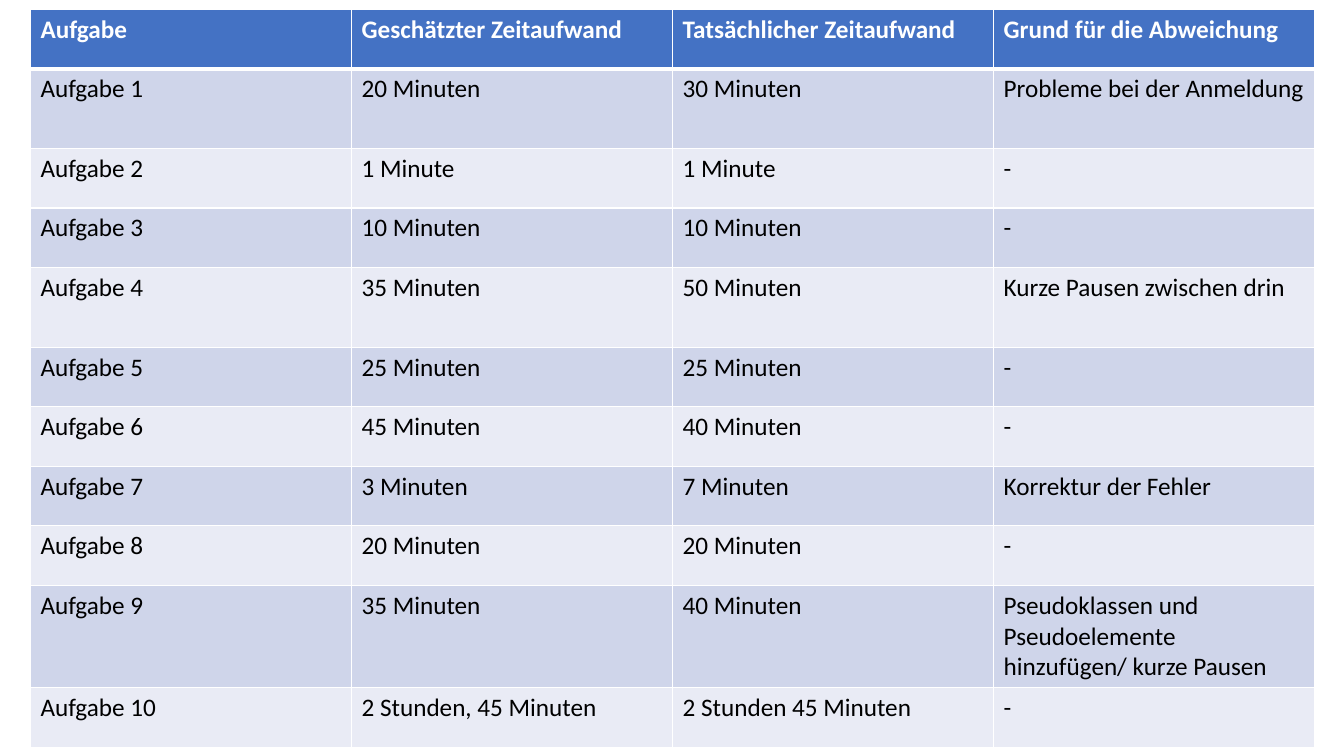
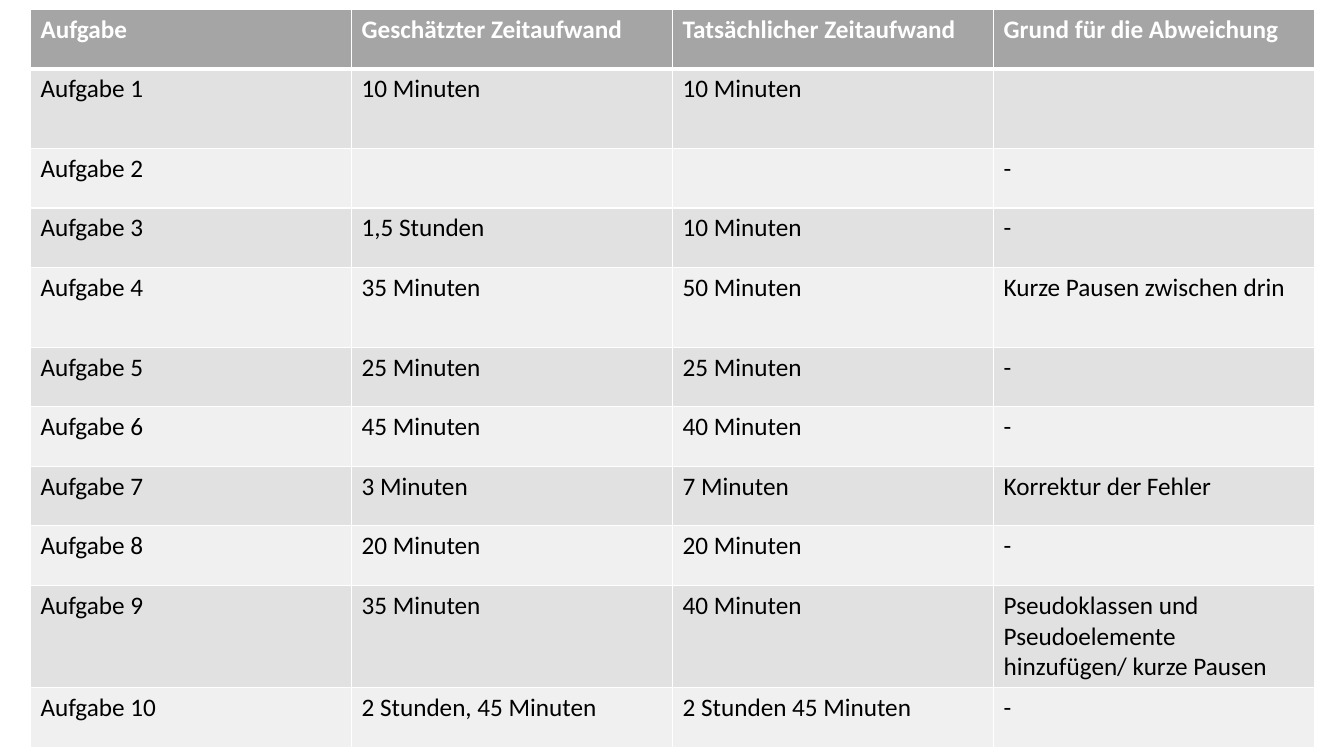
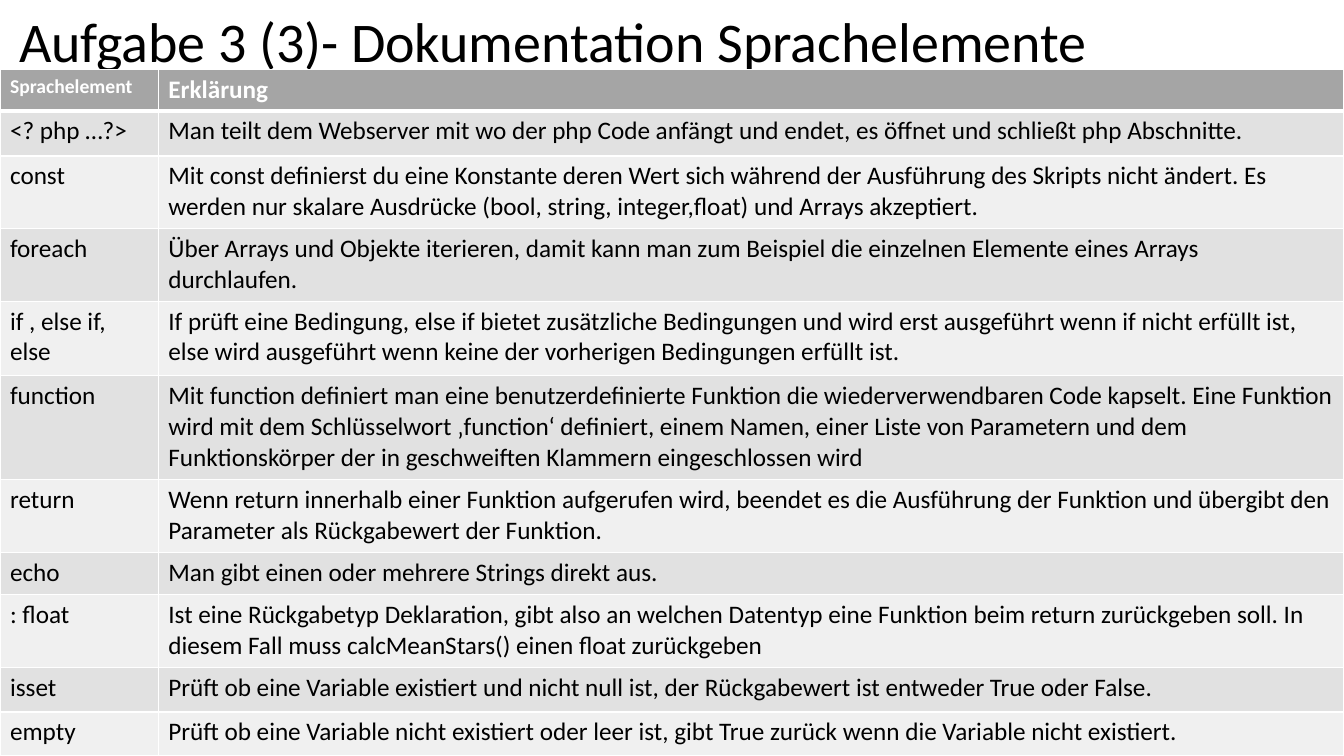
from lxml import etree
from pptx import Presentation
from pptx import util as u
from pptx.dml.color import RGBColor
from pptx.enum import text
from pptx.oxml.ns import qn

COLORS = {"white": "FFFFFF", "black": "000000"}
BLUE = {"header": "4472C4", "odd": "CFD5EA", "even": "E9EBF5"}
GRAY = {"header": "A5A5A5", "odd": "E1E1E1", "even": "F0F0F0"}
FONT = "Calibri"


def write(paragraph, words, size, color, bold=False):
    run = paragraph.add_run()
    run.text = words
    run.font.name = FONT
    run.font.size = u.Pt(size)
    run.font.bold = bold
    run.font.color.rgb = RGBColor.from_string(COLORS[color])


def add_banded_table(slide, left, top, widths, heights, rows, palette, header_sizes):
    """Lengths are in cm; the first row is the header, with one text size per column."""
    table = slide.shapes.add_table(
        len(rows), len(widths), u.Cm(left), u.Cm(top),
        u.Cm(sum(widths)), u.Cm(sum(heights))).table
    table.first_row = table.horz_banding = False
    for column, width in zip(table.columns, widths):
        column.width = u.Cm(width)
    for r, (row, height) in enumerate(zip(rows, heights)):
        table.rows[r].height = u.Cm(height)
        band = "header" if r == 0 else "odd" if r % 2 else "even"
        for c, words in enumerate(row):
            cell = table.cell(r, c)
            properties = cell._tc.get_or_add_tcPr()
            for side in ("lnL", "lnR", "lnT", "lnB"):
                below_header = (r, side) in ((0, "lnB"), (1, "lnT"))
                border = etree.SubElement(properties, qn(f"a:{side}"),
                                          w=str(u.Pt(3 if below_header else 1)))
                border_fill = etree.SubElement(border, qn("a:solidFill"))
                etree.SubElement(border_fill, qn("a:srgbClr"), val=COLORS["white"])
            cell.fill.solid()
            cell.fill.fore_color.rgb = RGBColor.from_string(palette[band])
            if words:
                write(cell.text_frame.paragraphs[0], words,
                      header_sizes[c] if r == 0 else 18,
                      "white" if r == 0 else "black", bold=r == 0)


prs = Presentation()
prs.slide_width, prs.slide_height = u.Cm(33.87), u.Cm(19.05)
blank = prs.slide_layouts[6]

# Time tables: estimated time, actual time, reason for the difference
time_header = ("Aufgabe", "Geschätzter Zeitaufwand",
               "Tatsächlicher Zeitaufwand", "Grund für die Abweichung")
first_tasks = [
    ("20 Minuten", "30 Minuten", "Probleme bei der Anmeldung"),
    ("1 Minute", "1 Minute", "-"),
    ("10 Minuten", "10 Minuten", "-"),
]
second_tasks = [
    ("10 Minuten", "10 Minuten", ""),
    ("", "", "-"),
    ("1,5 Stunden", "10 Minuten", "-"),
]
shared_tasks = [
    ("35 Minuten", "50 Minuten", "Kurze Pausen zwischen drin"),
    ("25 Minuten", "25 Minuten", "-"),
    ("45 Minuten", "40 Minuten", "-"),
    ("3 Minuten", "7 Minuten", "Korrektur der Fehler"),
    ("20 Minuten", "20 Minuten", "-"),
    ("35 Minuten", "40 Minuten",
     "Pseudoklassen und Pseudoelemente hinzufügen/ kurze Pausen"),
    ("2 Stunden, 45 Minuten", "2 Stunden 45 Minuten", "-"),
]
time_heights = [1.5] * 11
time_heights[1] = time_heights[4] = 2.01
time_heights[9] = 1.75

for opening_tasks, palette in ((first_tasks, BLUE), (second_tasks, GRAY)):
    time_rows = [time_header] + [
        (f"Aufgabe {number}", *task)
        for number, task in enumerate(opening_tasks + shared_tasks, 1)]
    add_banded_table(prs.slides.add_slide(blank), 0.77, 0.23, [8.09] * 4,
                     time_heights, time_rows, palette, [18] * 4)

# Language elements
language_slide = prs.slides.add_slide(blank)
title = language_slide.shapes.add_textbox(
    u.Cm(0.23), u.Cm(-0.71), u.Cm(29.21), u.Cm(3.68)).text_frame
title.word_wrap = True
title.vertical_anchor = text.MSO_ANCHOR.MIDDLE
title.paragraphs[0].line_spacing = 0.9
write(title.paragraphs[0], "Aufgabe 3 (3)- Dokumentation Sprachelemente", 40, "black")

language_elements = [
    (1.04, "Sprachelement", "Erklärung"),
    (1.14, "<? php …?>",
     "Man teilt dem Webserver mit wo der php Code anfängt und endet, "
     "es öffnet und schließt php Abschnitte."),
    (1.83, "const",
     "Mit const definierst du eine Konstante deren Wert sich während der Ausführung "
     "des Skripts nicht ändert. Es werden nur skalare Ausdrücke "
     "(bool, string, integer,float) und Arrays akzeptiert."),
    (1.83, "foreach",
     "Über Arrays und Objekte iterieren, damit kann man zum Beispiel "
     "die einzelnen Elemente eines Arrays durchlaufen."),
    (1.88, "if , else if, else",
     "If prüft eine Bedingung, else if bietet zusätzliche Bedingungen und wird erst "
     "ausgeführt wenn if nicht erfüllt ist, else wird ausgeführt wenn keine der "
     "vorherigen Bedingungen erfüllt ist."),
    (2.62, "function",
     "Mit function definiert man eine benutzerdefinierte Funktion die "
     "wiederverwendbaren Code kapselt. Eine Funktion wird mit dem Schlüsselwort "
     "‚function‘ definiert, einem Namen, einer Liste von Parametern und dem "
     "Funktionskörper der in geschweiften Klammern eingeschlossen wird"),
    (1.83, "return",
     "Wenn return innerhalb einer Funktion aufgerufen wird, beendet es die Ausführung "
     "der Funktion und übergibt den Parameter als Rückgabewert der Funktion."),
    (1.07, "echo", "Man gibt einen oder mehrere Strings direkt aus."),
    (1.83, ": float",
     "Ist eine Rückgabetyp Deklaration, gibt also an welchen Datentyp eine Funktion "
     "beim return zurückgeben soll. In diesem Fall muss calcMeanStars() einen float "
     "zurückgeben"),
    (1.12, "isset",
     "Prüft ob eine Variable existiert und nicht null ist, "
     "der Rückgabewert ist entweder True oder False."),
    (1.09, "empty",
     "Prüft ob eine Variable nicht existiert oder leer ist, "
     "gibt True zurück wenn die Variable nicht existiert."),
]
language_heights = [height for height, *_ in language_elements]
language_rows = [row for _, *row in language_elements]
add_banded_table(language_slide, 0, 1.75, [3.99, 29.88], language_heights,
                 language_rows, GRAY, [14, 18])

prs.save("out.pptx")
